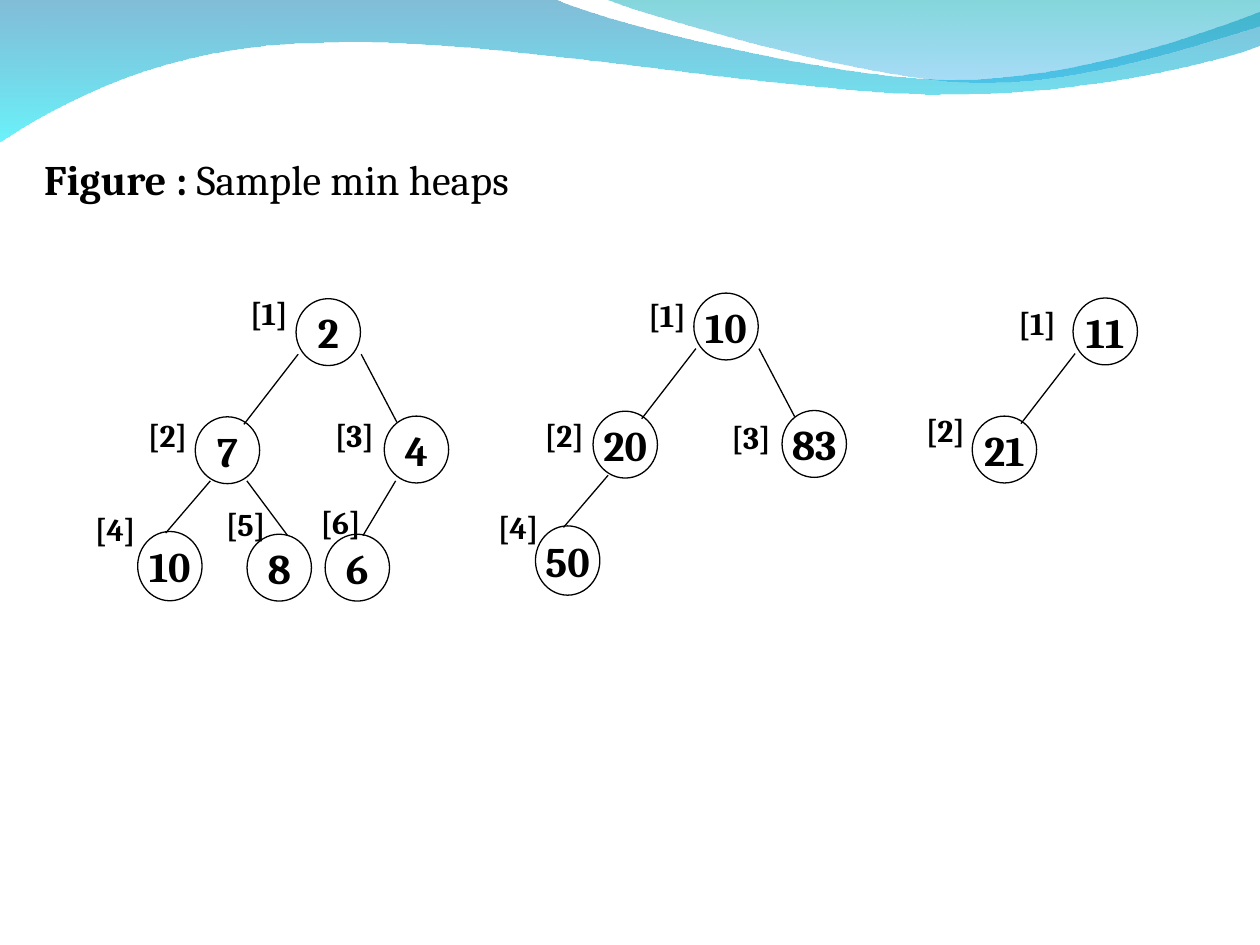
from lxml.etree import SubElement
from pptx import Presentation
from pptx.dml.color import RGBColor
from pptx.enum.shapes import MSO_CONNECTOR, MSO_SHAPE
from pptx.enum.text import MSO_ANCHOR, MSO_AUTO_SIZE, PP_ALIGN
from pptx.oxml.ns import qn
from pptx.util import Pt

COLORS = {
    "ink": "000000",
    "wave_top": "0079AF", "wave_bottom": "00EBF8",
    "crest_top": "00ADB6", "crest_bottom": "009BE5",
}
FONT = "Cambria"
NODE_WIDTH = 36.8
LABEL_WIDTH, LABEL_HEIGHT = 38.9, 28.8

# Heap slots in array order: node offset from the root, and node height
NODE_SLOTS = [(0, 0, 38.2), (-57.6, 67.5, 38.2), (50.4, 67.1, 38.2),
              (-90.5, 133, 39.6), (-28, 134.6, 38.2), (16.6, 134.6, 38.2)]
# Edge leading down to each slot after the root, from the root's corner
EDGES = [(1.2, 31.7, -29.8, 71.8), (37.2, 31.7, 57.6, 70.6),
         (-49, 104.1, -74.5, 133.9), (-28.1, 104.1, -4.8, 135.4),
         (56.9, 104.1, 38.2, 135.4)]

# Each heap: root corner, values and index labels (offset, indent) in array order
HEAPS = [
    ((169.2, 170.7), [2, 7, 4, 10, 8, 6],
     [(-33.4, -6.5, 0), (-91.7, 63.3, 0), (15.1, 63.3, 0),
      (-126, 117.3, 3.9), (-47.2, 114.4, 0), (6.9, 113, 0)]),
    ((396.5, 167.5), [10, 20, 83, 50],
     [(-33.1, -2, 0), (-96.3, 66.5, 3.9), (14.4, 68, 0), (-119, 119, 0)]),
    ((613.2, 170.3), [11, 21],
     [(-50.2, 0, 11.8), (-91.2, 61, 0)]),
]


def color(name):
    return RGBColor.from_string(COLORS[name])


def style(span, size, bold=True):
    span.font.name = FONT
    span.font.size = Pt(size)
    span.font.bold = bold
    span.font.color.rgb = color("ink")


def add_wave(page, start, segments, stops):
    """Draw a closed outline; a segment is one line end or three curve points."""
    builder = page.shapes.build_freeform(Pt(start[0]), Pt(start[1]))
    builder.add_line_segments([(Pt(x), Pt(y)) for *_, (x, y) in segments], close=True)
    wave = builder.convert_to_shape()
    # Turn the straight sides with control points into curves
    sides = list(wave._element.spPr.iter(qn("a:lnTo")))
    for side, segment in zip(sides, segments):
        if len(segment) == 3:
            side.tag = qn("a:cubicBezTo")
            side.clear()
            for x, y in segment:
                point = SubElement(side, qn("a:pt"))
                point.set("x", str(Pt(x) - wave.left))
                point.set("y", str(Pt(y) - wave.top))
    wave.shadow.inherit = False
    wave.line.fill.background()
    wave.fill.gradient()
    wave.fill.gradient_angle = 270
    for stop, (name, _) in zip(wave.fill.gradient_stops, stops):
        stop.color.rgb = color(name)
    tints = wave._element.spPr.iter(qn("a:srgbClr"))
    for tint, (_, opacity) in zip(tints, stops):
        SubElement(tint, qn("a:alpha")).set("val", str(opacity * 1000))


def add_header(page, left, top, right):
    add_wave(page, (left, top), [
        [(316.8, top)],
        [(342.7, 12.2), (478, 45.4), (545.8, 45.4)],
        [(614.2, 45.4), (689.8, 18.7), (right, 6.5)],
        [(right, 25.9)],
        [(707.8, 31.7), (626.4, 54.7), (537.1, 54)],
        [(447.8, 54), (275, 20.2), (185, 24.5)],
        [(92.9, 25.2), (33.1, 59.8), (left, 81.4)],
    ], [("wave_top", 49), ("wave_bottom", 59)])
    add_wave(page, (344.9, top), [
        [(366.5, 7.9), (491, 44.6), (553.7, 46.8)],
        [(616.3, 49.7), (691.9, 23), (right, 15.1)],
        [(right, top)],
    ], [("crest_top", 49), ("crest_bottom", 34)])


def add_caption(page, left, top, width, height):
    title = page.shapes.title
    title.left, title.top, title.width, title.height = map(Pt, (left, top, width, height))
    frame = title.text_frame
    frame.auto_size = MSO_AUTO_SIZE.NONE
    frame.word_wrap = False
    frame.vertical_anchor = MSO_ANCHOR.TOP
    para = frame.paragraphs[0]
    para.alignment = PP_ALIGN.LEFT
    for text, bold in (("Figure : ", True), ("Sample min heaps", False)):
        span = para.add_run()
        span.text = text
        style(span, 24, bold)


def set_text(box, text, size, alignment):
    frame = box.text_frame
    frame.word_wrap = False
    frame.text = text
    para = frame.paragraphs[0]
    para.alignment = alignment
    style(para.runs[0], size)


def add_node(page, left, top, height, value):
    node = page.shapes.add_shape(MSO_SHAPE.OVAL, Pt(left), Pt(top),
                                 Pt(NODE_WIDTH), Pt(height))
    node.shadow.inherit = False
    node.fill.background()
    node.line.color.rgb = color("ink")
    node.line.width = Pt(0.75)
    node.text_frame.vertical_anchor = MSO_ANCHOR.MIDDLE
    set_text(node, str(value), 24, PP_ALIGN.CENTER)


def add_edge(page, *ends):
    edge = page.shapes.add_connector(MSO_CONNECTOR.STRAIGHT, *map(Pt, ends))
    edge.line.color.rgb = color("ink")
    edge.line.width = Pt(0.75)
    SubElement(edge._element.spPr, qn("a:effectLst"))


def add_label(page, left, top, indent, index):
    label = page.shapes.add_textbox(Pt(left), Pt(top),
                                    Pt(LABEL_WIDTH + indent), Pt(LABEL_HEIGHT))
    label.text_frame.margin_left = Pt(7.2 + indent)
    set_text(label, f"[{index}]", 18, PP_ALIGN.LEFT)


def add_heap(page, root, values, labels):
    left, top = root
    # Nodes
    for value, (x, y, height) in zip(values, NODE_SLOTS):
        add_node(page, left + x, top + y, height, value)
    # Edges
    for x1, y1, x2, y2 in EDGES[:len(values) - 1]:
        add_edge(page, left + x1, top + y1, left + x2, top + y2)
    # Array index labels
    for index, (x, y, indent) in enumerate(labels, start=1):
        add_label(page, left + x, top + y, indent, index)


def main():
    deck = Presentation()
    deck.slide_width, deck.slide_height = Pt(720), Pt(540)
    page = deck.slides.add_slide(deck.slide_layouts[5])
    add_header(page, -0.7, -0.7, 720.4)
    add_caption(page, 18, 84.2, 322.6, 36)
    for root, values, labels in HEAPS:
        add_heap(page, root, values, labels)
    deck.save("out.pptx")


if __name__ == "__main__":
    main()
